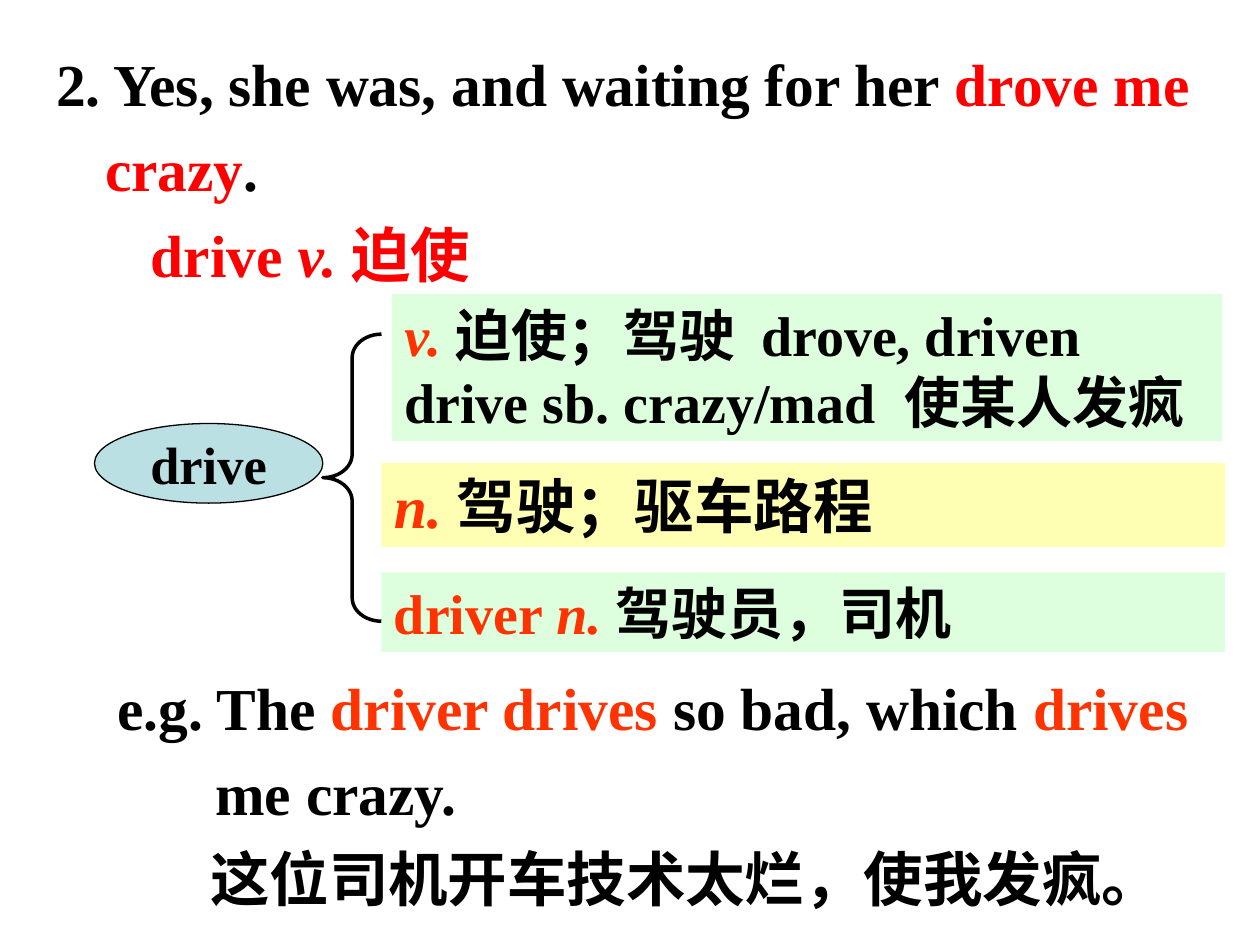
from lxml import etree
from pptx import Presentation
from pptx.dml.color import RGBColor
from pptx.enum import shapes, text
from pptx.oxml.ns import qn
from pptx.util import Pt

FONT = "Times New Roman"
BLACK, RED, ORANGE = "000000", "FF0000", "FF3300"
GREEN, YELLOW, BLUE = "CCFFCC", "FFFF99", "BBE0E3"


def color(hex_code):
    return RGBColor.from_string(hex_code)


def write(paragraph, pieces, size):
    """Each piece is (wording, colour) or (wording, colour, italic)."""
    for wording, hue, *italic in pieces:
        run = paragraph.add_run()
        run.text = wording
        run.font.name = FONT
        run.font.size = Pt(size)
        run.font.bold = True
        run.font.italic = bool(italic and italic[0])
        run.font.color.rgb = color(hue)


def add_shape(slide, kind, box, fill=None, opacity=100, line=None):
    shape = slide.shapes.add_shape(kind, *map(Pt, box))
    shape.shadow.inherit = False
    if fill:
        shape.fill.solid()
        shape.fill.fore_color.rgb = color(fill)
        if opacity < 100:
            solid = shape.fill._xPr.find(qn("a:solidFill"))
            etree.SubElement(solid[0], qn("a:alpha"), val=str(opacity * 1000))
    else:
        shape.fill.background()
    if line:
        shape.line.color.rgb = color(BLACK)
        shape.line.width = Pt(line)
    else:
        shape.line.fill.background()
    return shape


def sentence_block(slide, box, lines, size=34):
    """Lines are (left margin, first-line indent, pieces)."""
    frame = slide.shapes.add_textbox(*map(Pt, box)).text_frame
    frame.word_wrap = True
    frame.auto_size = text.MSO_AUTO_SIZE.SHAPE_TO_FIT_TEXT
    for i, (margin, indent, pieces) in enumerate(lines):
        paragraph = frame.add_paragraph() if i else frame.paragraphs[0]
        paragraph.line_spacing = 1.2
        properties = paragraph._p.get_or_add_pPr()
        properties.set("marL", str(Pt(margin)))
        properties.set("indent", str(Pt(indent)))
        write(paragraph, pieces, size)


def meaning_card(slide, box, fill, opacity, size, lines):
    card = add_shape(slide, shapes.MSO_SHAPE.RECTANGLE, box, fill, opacity)
    frame = card.text_frame
    frame.word_wrap = True
    frame.vertical_anchor = text.MSO_ANCHOR.TOP
    frame.auto_size = text.MSO_AUTO_SIZE.SHAPE_TO_FIT_TEXT
    for i, pieces in enumerate(lines):
        paragraph = frame.add_paragraph() if i else frame.paragraphs[0]
        paragraph.alignment = text.PP_ALIGN.LEFT
        write(paragraph, pieces, size)


def word_map(slide, left, top):
    # Headword
    headword = add_shape(slide, shapes.MSO_SHAPE.OVAL,
                         (left, top + 74, 130.5, 45.5), BLUE, line=0.75)
    headword.text_frame.word_wrap = False
    headword.text_frame.vertical_anchor = text.MSO_ANCHOR.MIDDLE
    label = headword.text_frame.paragraphs[0]
    label.alignment = text.PP_ALIGN.CENTER
    write(label, [("drive", BLACK)], 30)

    # Brace from the headword to its meanings
    brace = add_shape(slide, shapes.MSO_SHAPE.LEFT_BRACE,
                      (left + 130.5, top + 23, 33.5, 164), line=2)
    brace.adjustments[0] = 0.4
    brace.adjustments[1] = 0.5

    # Meanings
    meaning_card(slide, (left + 170, top, 474.5, 84), GREEN, 65, 32, [
        [("v. ", ORANGE, True), ("迫使；驾驶  drove, driven", BLACK)],
        [("drive sb. crazy/mad  使某人发疯", BLACK)]])
    meaning_card(slide, (left + 164, top + 96.5, 482, 48), YELLOW, 73, 34, [
        [("n. ", ORANGE, True), ("驾驶；驱车路程", BLACK)]])
    meaning_card(slide, (left + 164, top + 159, 482, 45.5), GREEN, 65, 32, [
        [("driver ", ORANGE), ("n. ", ORANGE, True), ("驾驶员，司机", BLACK)]])


def main():
    deck = Presentation()
    deck.slide_width, deck.slide_height = Pt(720), Pt(540)
    slide = deck.slides.add_slide(deck.slide_layouts[6])

    # Sentence and key word
    sentence_block(slide, (25, 15, 663, 155.5), [
        (28, -28, [("2. Yes, she was, and waiting for her ", BLACK),
                   ("drove me crazy", RED), (".", BLACK)]),
        (54, 0, [("drive ", RED), ("v. ", RED, True), ("迫使", RED)])])

    word_map(slide, 54, 168)

    # Example and its translation
    sentence_block(slide, (60, 371.5, 641, 155.5), [
        (56, -56, [("e.g. The ", BLACK), ("driver drives", ORANGE),
                   (" so bad, which ", BLACK), ("drives", ORANGE),
                   (" me crazy.", BLACK)]),
        (53, 0, [("这位司机开车技术太烂，使我发疯。", BLACK)])])

    deck.save("out.pptx")


if __name__ == "__main__":
    main()
